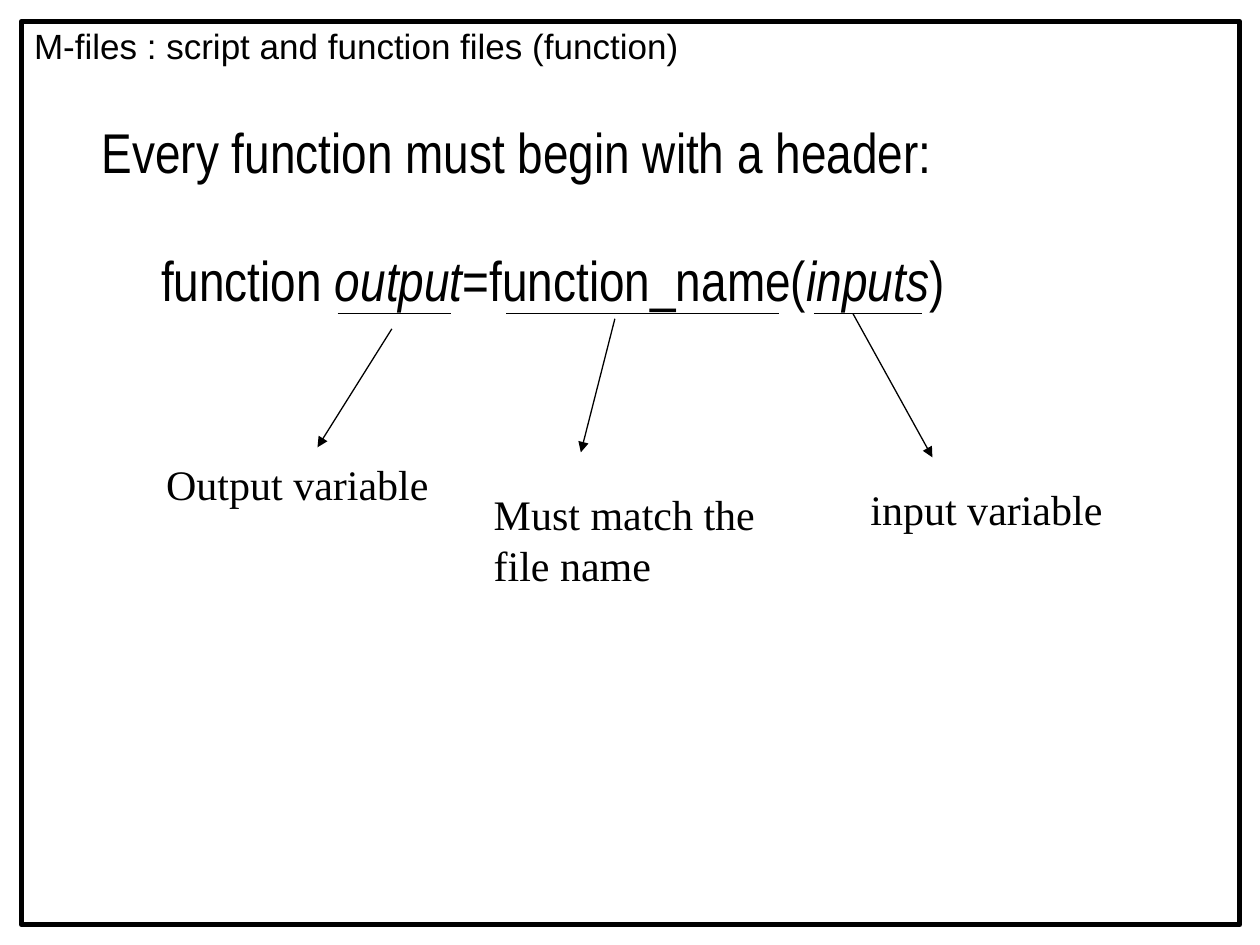
"""Build a slide that explains the header line of a function file."""
from lxml.etree import SubElement
from pptx import Presentation
from pptx.dml.color import RGBColor
from pptx.enum.shapes import MSO_CONNECTOR, MSO_SHAPE
from pptx.enum.text import MSO_ANCHOR, PP_ALIGN
from pptx.oxml.ns import qn
from pptx.util import Inches, Pt

BLACK = RGBColor(0, 0, 0)
UNDERLINE_Y = 2.49


def add_text(shapes, box, runs, size, font, before):
    tb = shapes.add_textbox(*map(Inches, box))
    tf = tb.text_frame
    tf.word_wrap = True
    p = tf.paragraphs[0]
    p.space_before = Pt(before)
    for text, italic in runs:
        r = p.add_run()
        r.text = text
        r.font.size = Pt(size)
        r.font.name = font
        r.font.italic = italic
        r.font.color.rgb = BLACK


def add_line(shapes, start, end, arrow=False):
    line = shapes.add_connector(MSO_CONNECTOR.STRAIGHT, *map(Inches, start + end))
    line.line.color.rgb = BLACK
    line.line.width = Pt(0.75)
    if arrow:
        SubElement(line.line._get_or_add_ln(), qn("a:tailEnd"), type="triangle")
    SubElement(line._element.spPr, qn("a:effectLst"))


prs = Presentation()
prs.slide_width, prs.slide_height = Inches(10), Inches(7.5)
s = prs.slides.add_slide(prs.slide_layouts[5])

title = s.shapes.title
title.left, title.top, title.width, title.height = map(Inches, (0.17, 0.08, 8.5, 0.56))
tf = title.text_frame
tf.text = "M-files : script and function files (function)"
tf.vertical_anchor = MSO_ANCHOR.MIDDLE
p = tf.paragraphs[0]
p.alignment = PP_ALIGN.LEFT
font = p.runs[0].font
font.size, font.name, font.color.rgb = Pt(20), "Arial", BLACK

statements = [
    ((0.71, 0.88, 8.5, 0.75), [("Every function must begin with a header:", False)]),
    ((1.18, 1.9, 6.89, 0.75), [
        ("function ", False),
        ("output", True),
        ("=function_name(", False),
        ("inputs", True),
        (")", False),
    ]),
]
for box, runs in statements:
    add_text(s.shapes, box, runs, 32, "Arial Narrow", 8)

callouts = [
    ("Output variable", (1.22, 3.59, 2.68, 0.5), (3.11, 2.61), (2.52, 3.55), (2.68, 3.58)),
    ("Must match the file name", (3.82, 3.83, 2.68, 0.9), (4.88, 2.53), (4.61, 3.59), (4.02, 6.18)),
    ("input variable", (6.81, 3.79, 2.68, 0.5), (6.77, 2.49), (7.4, 3.63), (6.46, 7.32)),
]
for label, box, start, end, (left, right) in callouts:
    group = s.shapes.add_group_shape()
    add_text(group.shapes, box, [(label, False)], 24, "Times New Roman", 15)
    add_line(group.shapes, start, end, arrow=True)
    add_line(group.shapes, (left, UNDERLINE_Y), (right, UNDERLINE_Y))

frame = s.shapes.add_shape(MSO_SHAPE.RECTANGLE, *map(Inches, (0.17, 0.17, 9.67, 7.17)))
frame.shadow.inherit = False
frame.fill.background()
frame.line.color.rgb = BLACK
frame.line.width = Pt(3)

prs.save("out.pptx")
